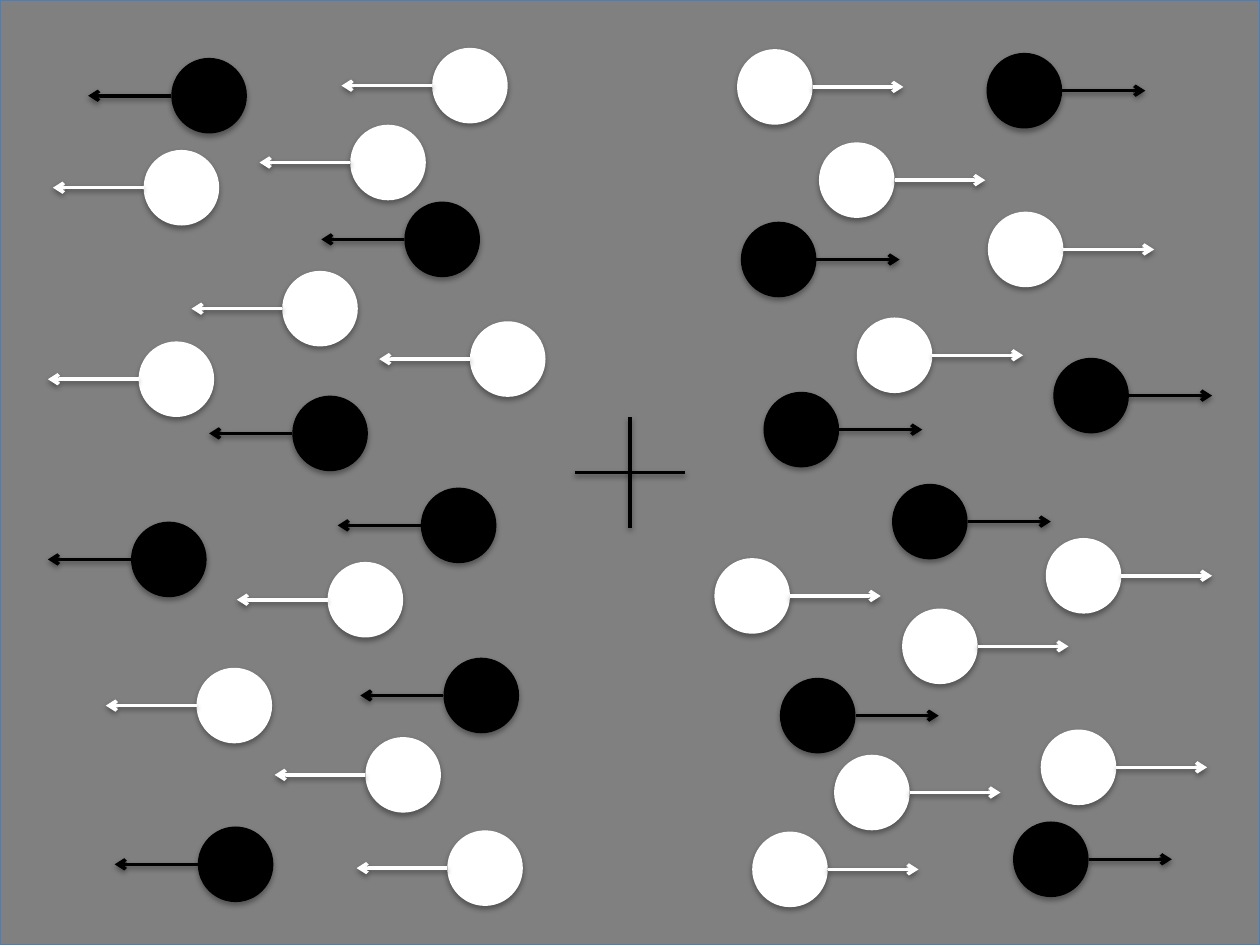
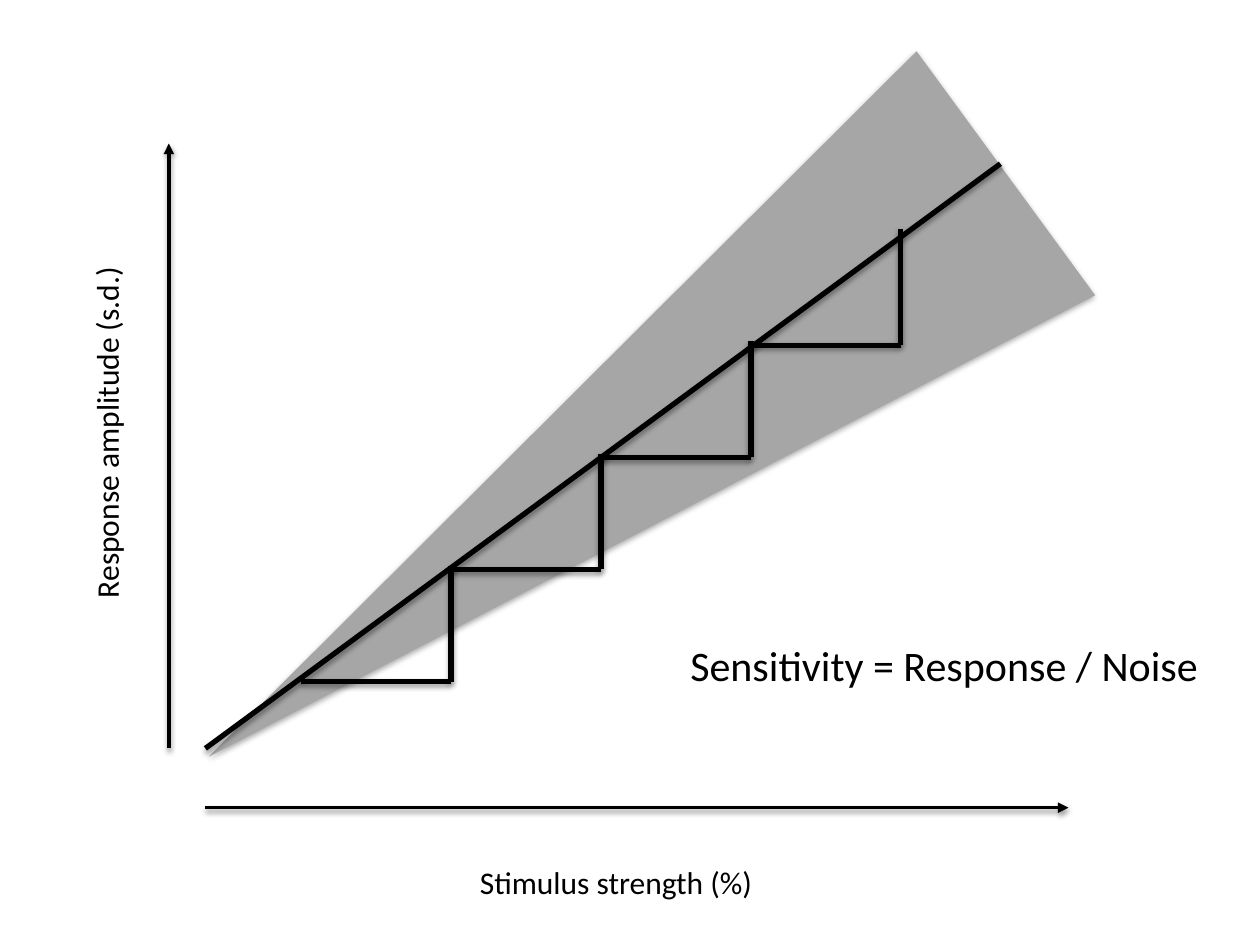
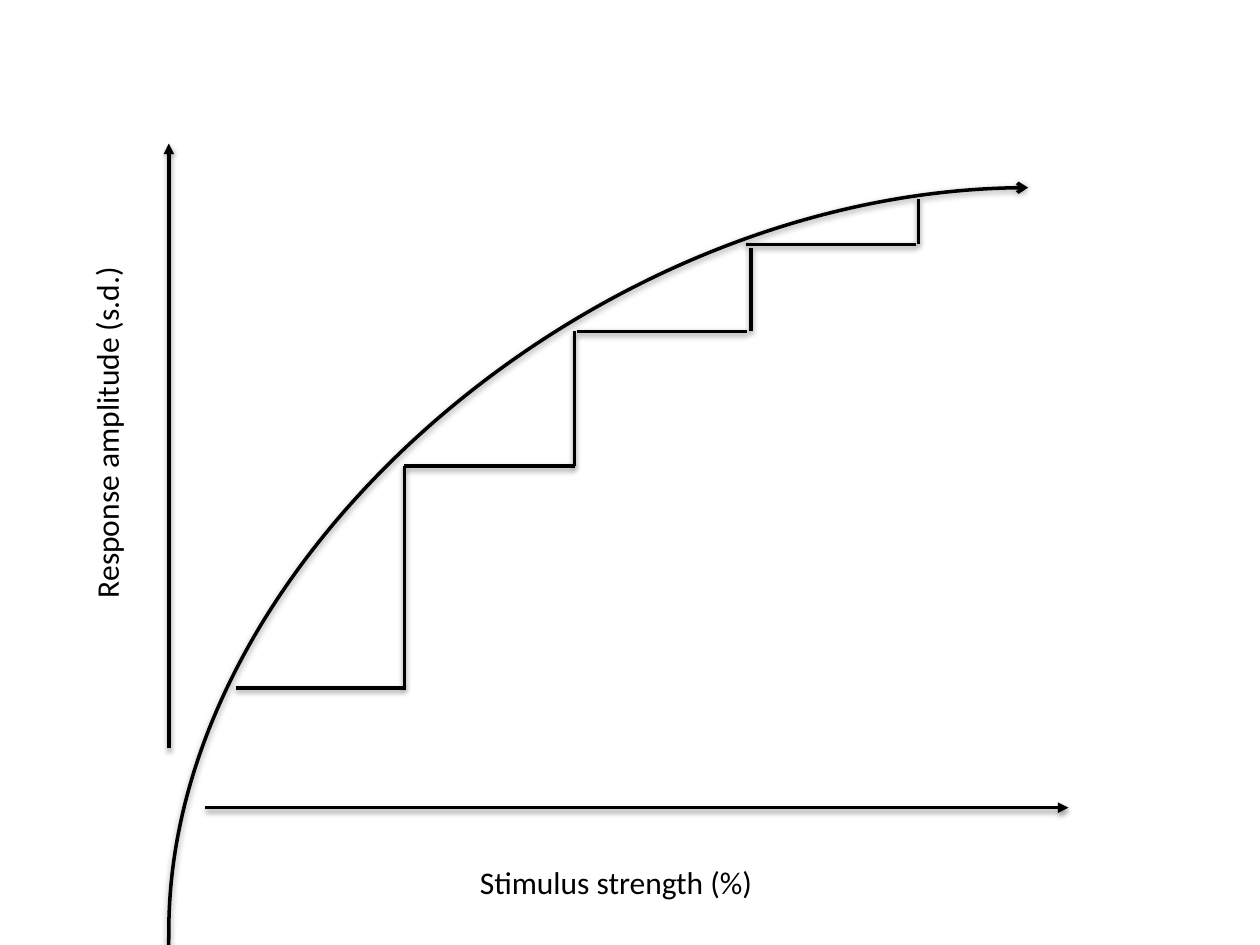
import pptx
import pptx.util
import pptx.dml.color
import pptx.enum.shapes
import pptx.enum.text
import pptx.oxml.ns
from lxml import etree

Inches, Pt = pptx.util.Inches, pptx.util.Pt
MSO_SHAPE = pptx.enum.shapes.MSO_SHAPE
CONNECTOR = pptx.enum.shapes.MSO_CONNECTOR

COLORS = {
    "black": "000000",
    "white": "FFFFFF",
    "backdrop": "808080",
    "border": "4B7EBC",
    "noise": "A6A6A6",
}
FONT = "Calibri"
PLOT = (1.34, 1.14, 7.14, 5.27)  # left, top, width, height of the axes

# Dots of the left field: centre x, centre y, colour
DOTS = [
    (3.64, 4.17, "black"), (2.9, 4.76, "white"), (1.86, 5.6, "white"),
    (2.54, 2.45, "white"), (3.08, 1.29, "white"), (4.03, 2.85, "white"),
    (3.2, 6.15, "white"), (1.44, 1.49, "white"), (3.73, 0.68, "white"),
    (3.85, 6.89, "white"), (3.82, 5.52, "black"), (1.34, 4.44, "black"),
    (1.66, 0.76, "black"), (3.51, 1.9, "black"), (1.87, 6.86, "black"),
    (2.62, 3.44, "black"), (1.4, 3.01, "white"),
]
RADIUS = 0.3
ARROW_LENGTH = {"black": 0.66, "white": 0.72}


def rgb(name):
    return pptx.dml.color.RGBColor.from_string(COLORS[name])


def sub(parent, tag, **attrs):
    return etree.SubElement(parent, pptx.oxml.ns.qn(tag), attrs)


def add_shadow(effects, distance, opacity):
    """Fill an effect list with a soft shadow falling straight down."""
    shadow = sub(effects, "a:outerShdw", blurRad=str(Pt(3.1)),
                 dist=str(Pt(distance)), dir="5400000", rotWithShape="0")
    color = sub(shadow, "a:srgbClr", val=COLORS["black"])
    sub(color, "a:alpha", val=str(opacity * 1000))


def add_filled(shapes, kind, box, fill, border=None):
    sp = shapes.add_shape(kind, *map(Inches, box))
    sp.fill.solid()
    sp.fill.fore_color.rgb = rgb(fill)
    if border:
        sp.line.color.rgb = rgb(border)
        sp.line.width = Pt(0.75)
    else:
        sp.line.fill.background()
    sp.shadow.inherit = False
    add_shadow(sp._element.spPr.find(pptx.oxml.ns.qn("a:effectLst")), 1.8, 35)
    return sp


def add_line(shapes, start, end, color="black", width=2, head=None,
             kind=CONNECTOR.STRAIGHT):
    line = shapes.add_connector(kind, *map(Inches, (*start, *end)))
    line.line.color.rgb = rgb(color)
    line.line.width = Pt(width)
    if head:
        sub(line.line._get_or_add_ln(), "a:tailEnd", type=head)
    add_shadow(sub(line._element.spPr, "a:effectLst"), 1.6, 38)
    return line


def add_label(s, box, text, size=18, rotation=0, wrap=True):
    sp = s.shapes.add_textbox(*map(Inches, box))
    sp.rotation = rotation
    tf = sp.text_frame
    tf.word_wrap = wrap
    tf.auto_size = pptx.enum.text.MSO_AUTO_SIZE.SHAPE_TO_FIT_TEXT
    r = tf.paragraphs[0].add_run()
    r.text = text
    r.font.name = FONT
    r.font.size = Pt(size)
    r.font.color.rgb = rgb("black")


def add_dot_field(s, x0, y0, turn):
    """Dots moving away from the centre; turn -1 rotates the field by 180°."""
    for dx, dy, color in DOTS:
        x, y = x0 + turn * dx, y0 + turn * dy
        edge = x - turn * RADIUS
        group = s.shapes.add_group_shape().shapes
        add_filled(group, MSO_SHAPE.OVAL,
                   (x - RADIUS, y - RADIUS, 2 * RADIUS, 2 * RADIUS), color)
        add_line(group, (edge, y), (edge - turn * ARROW_LENGTH[color], y),
                 color, head="arrow")


def add_fixation_cross(s, x, y, arm=0.44):
    add_line(s.shapes, (x, y - arm), (x, y + arm))
    add_line(s.shapes, (x - arm, y), (x + arm, y))


def add_axes(s, box):
    left, top, width, height = box
    bottom = top + height
    add_line(s.shapes, (left + 0.29, bottom), (left + width, bottom), head="triangle")
    add_line(s.shapes, (left, bottom - 0.47), (left, top), head="triangle")
    add_label(s, (left + 2.37, bottom + 0.39, 3.35, 0.4), "Stimulus strength (%)")
    add_label(s, (left - 2.17, top + 1.83, 3.35, 0.4),
              "Response amplitude (s.d.)", rotation=270)


def add_steps(shapes, box, steps, run, width):
    """Each step is tread start x, riser x, tread y and riser top y."""
    left, top = box[:2]
    for x, riser, y, y_top in steps:
        add_line(shapes, (left + x, top + y), (left + x + run, top + y), width=width)
        add_line(shapes, (left + riser, top + y), (left + riser, top + y_top),
                 width=width)


def build_stimulus(s, box):
    left, top, width, height = box
    add_filled(s.shapes, MSO_SHAPE.RECTANGLE, box, "backdrop", "border")
    add_dot_field(s, left, top, 1)
    add_dot_field(s, left + width, top + height + 0.08, -1)
    add_fixation_cross(s, left + width / 2, top + height / 2)


def build_linear_response(s, box):
    left, top = box[:2]
    # Noise grows with the response
    noise = add_filled(s.shapes, MSO_SHAPE.ISOSCELES_TRIANGLE,
                       (left + 2.28, top - 1.37, 2.4, 7.84), "noise")
    noise.rotation = 233.8
    add_line(s.shapes, (left + 0.29, top + 4.8), (left + 6.6, top + 0.16), width=3)
    # Equal steps along the line
    run, pitch, rise = 1.19, 0.89, 0.92
    steps = [(1.05 + i * run, 1.05 + (i + 1) * run,
              4.27 - i * pitch, 4.27 - i * pitch - rise) for i in range(4)]
    add_steps(s.shapes, box, steps, run, 3)
    add_axes(s, box)
    add_label(s, (left + 4.04, top + 3.89, 4.28, 0.5),
              "Sensitivity = Response / Noise", size=24, wrap=False)


def build_saturating_response(s, box):
    left, top = box[:2]
    add_axes(s, box)
    # Shrinking steps under the curve
    group = s.shapes.add_group_shape().shapes
    steps = [(0.53, 1.87, 4.32, 2.56), (1.87, 3.22, 2.56, 1.49),
             (3.24, 4.62, 1.49, 0.83), (4.58, 5.95, 0.8, 0.44)]
    add_steps(group, box, steps, 1.35, 2)
    add_line(group, (left - 6.82, top + 12.15), (left + 6.82, top + 0.35),
             head="arrow", kind=CONNECTOR.CURVE)


def main():
    prs = pptx.Presentation()
    prs.slide_width, prs.slide_height = Inches(10), Inches(7.5)
    pages = [(build_stimulus, (0, 0, 10, 7.5)),
             (build_linear_response, PLOT),
             (build_saturating_response, PLOT)]
    for build, box in pages:
        build(prs.slides.add_slide(prs.slide_layouts[6]), box)
    prs.save("out.pptx")


if __name__ == "__main__":
    main()
